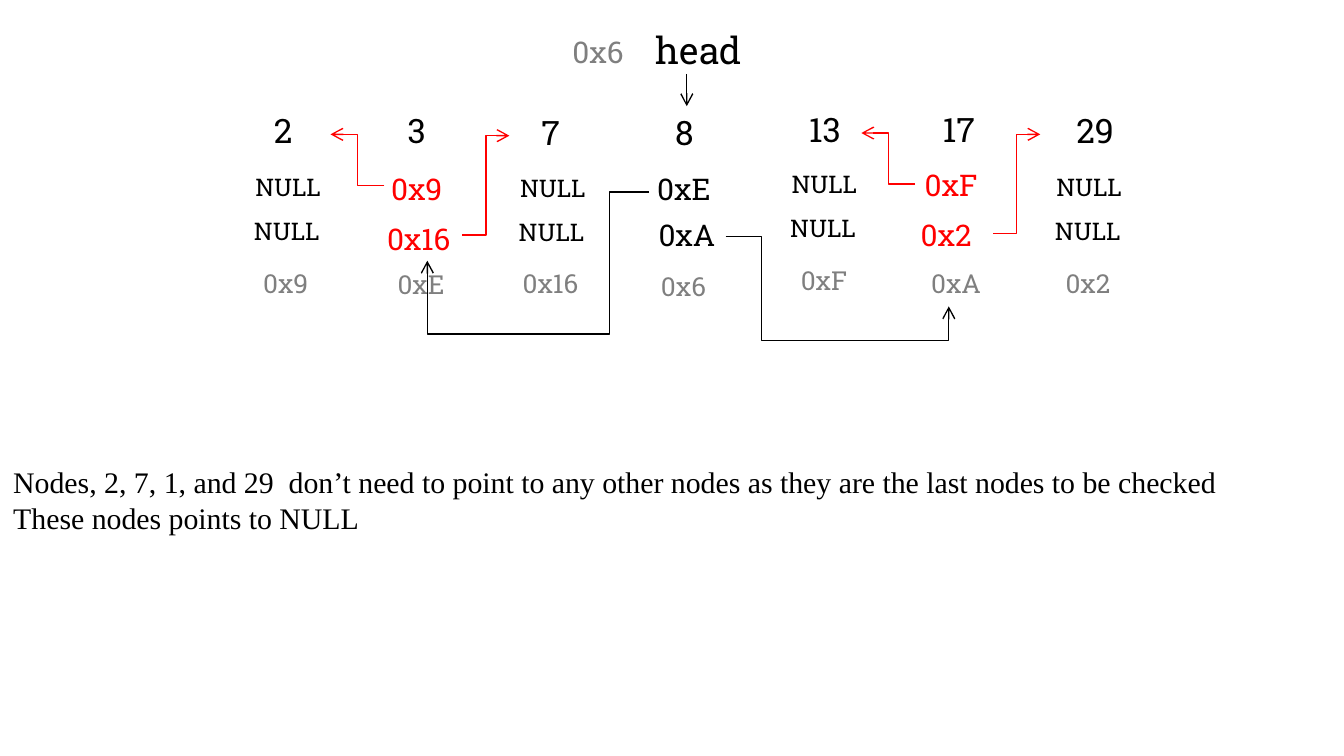
from dataclasses import dataclass
from typing import Any

from lxml import etree
from pptx import Presentation
from pptx import util as u
from pptx.dml.color import RGBColor
from pptx.enum import shapes, text
from pptx.oxml import ns

BLACK, GREY, RED = "000000", "7F7F7F", "FF0000"
COLUMNS = 10
ROWS = COLUMNS * 9 / 16
FIRST, LAST = 1.94, 7.91

# value, value width, value top, address, address left, address top, address width
NODES = [
    ("2", 0.33, 0.77, "0x9", 1.86, 1.94, 0.54),
    ("3", 0.33, 0.77, "0xE", 2.86, 1.95, 0.55),
    ("7", 0.33, 0.78, "0x16", 3.79, 1.94, 0.62),
    ("8", 0.33, 0.78, "0x6", 4.82, 1.96, 0.54),
    ("13", 0.47, 0.76, "0xF", 5.86, 1.92, 0.55),
    ("17", 0.49, 0.76, "0xA", 6.83, 1.94, 0.58),
    ("29", 0.49, 0.77, "0x2", 7.83, 1.94, 0.54),
]
LEAVES = [(1.9, 1.23), (3.87, 1.24), (5.89, 1.21), (7.86, 1.23)]
# label left, label top, left address, right address, arrow left, arrow top
BRANCHES = [
    (2.91, 1.22, "0x9", "0x16", 2.46, 1),
    (6.88, 1.19, "0xF", "0x2", 6.41, 0.99),
]
NOTES = [
    "Nodes, 2, 7, 1, and 29  don’t need to point to any other nodes"
    " as they are the last nodes to be checked",
    "These nodes points to NULL",
]


def color(value):
    return RGBColor.from_string(value)


@dataclass
class TreePage:
    """Draws labels and arrows on a page measured in grid columns and rows."""

    deck: Any
    page: Any
    font: str = "Roboto Slab"
    line_width: float = 0.75

    def across(self, columns):
        return u.Emu(round(self.deck.slide_width * columns / COLUMNS))

    def down(self, rows):
        return u.Emu(round(self.deck.slide_height * rows / ROWS))

    def label(self, lines, left, top, width, height, size, ink=BLACK,
              font=None, inset=0.1, wrap=True, grow=False):
        box = self.page.shapes.add_textbox(
            self.across(left), self.down(top), self.across(width), self.down(height))
        frame = box.text_frame
        frame.word_wrap = wrap
        frame.margin_left = frame.margin_right = self.across(inset)
        fit = text.MSO_AUTO_SIZE
        frame.auto_size = fit.SHAPE_TO_FIT_TEXT if grow else fit.NONE
        for index, line in enumerate(lines):
            para = frame.add_paragraph() if index else frame.paragraphs[0]
            span = para.add_run()
            span.text = line
            span.font.name = font or self.font
            span.font.size = u.Pt(size)
            span.font.color.rgb = color(ink)

    def pointer(self, word, left, top, size=16, ink=BLACK, width=0.43, height=0.32):
        self.label([word], left, top, width, height, size, ink, inset=0)

    def arrow(self, start, end, ink=BLACK, kind=shapes.MSO_CONNECTOR.ELBOW, bends=()):
        line = self.page.shapes.add_connector(
            kind, self.across(start[0]), self.down(start[1]),
            self.across(end[0]), self.down(end[1]))
        line.line.width = u.Pt(self.line_width)
        line.line.color.rgb = color(ink)
        properties = line._element.spPr
        etree.SubElement(properties.get_or_add_ln(), ns.qn("a:tailEnd"), type="arrow")
        etree.SubElement(properties, ns.qn("a:effectLst"))
        if bends:
            geometry = properties.find(ns.qn("a:prstGeom"))
            geometry.set("prst", "bentConnector4")
            guides = geometry.find(ns.qn("a:avLst"))
            for number, share in enumerate(bends, 1):
                etree.SubElement(guides, ns.qn("a:gd"), name=f"adj{number}",
                                 fmla=f"val {round(share * 100000)}")


def main():
    deck = Presentation()
    deck.slide_width, deck.slide_height = u.Inches(COLUMNS), u.Inches(ROWS)
    tree = TreePage(deck, deck.slides.add_slide(deck.slide_layouts[6]))

    pitch = (LAST - FIRST) / (len(NODES) - 1)
    for index, (value, width, top, *_) in enumerate(NODES):
        tree.label([value], FIRST + index * pitch, top, width, 0.48, 18)
    for *_, address, left, top, width in NODES:
        tree.label([address], left, top, width, 0.34, 14, GREY, wrap=False, grow=True)

    tree.label(["head"], 4.78, 0.15, 1.02, 0.48, 20)
    tree.arrow((5.11, 0.55), (5.11, 0.79), kind=shapes.MSO_CONNECTOR.STRAIGHT)
    tree.pointer("0x6", 4.26, 0.2, ink=GREY)

    tree.arrow((4.83, 1.43), (3.18, 1.94), bends=(0.18, 2.07))
    tree.pointer("0xE", 4.89, 1.22)
    tree.pointer("0xA", 4.9, 1.56)
    tree.arrow((5.4, 1.76), (7.06, 2.28), bends=(0.16, 1.49))

    for left, top, lower, upper, x, y in BRANCHES:
        tree.pointer(lower, left, top, ink=RED)
        tree.pointer(upper, left - 0.03, top + 0.37, ink=RED, width=0.56, height=0.31)
        tree.arrow((x + 0.4, y + 0.38), (x, y), RED)
        tree.arrow((x + 0.98, y + 0.75), (x + 1.33, y + 0.01), RED)

    for left, top in LEAVES:
        tree.pointer("NULL", left, top, 13, width=0.56)
        tree.pointer("NULL", left - 0.01, top + 0.33, 13, width=0.56)

    tree.label(NOTES, 0, 3.4, 9.72, 0.64, 16, font="Times New Roman", grow=True)
    deck.save("out.pptx")


if __name__ == "__main__":
    main()
